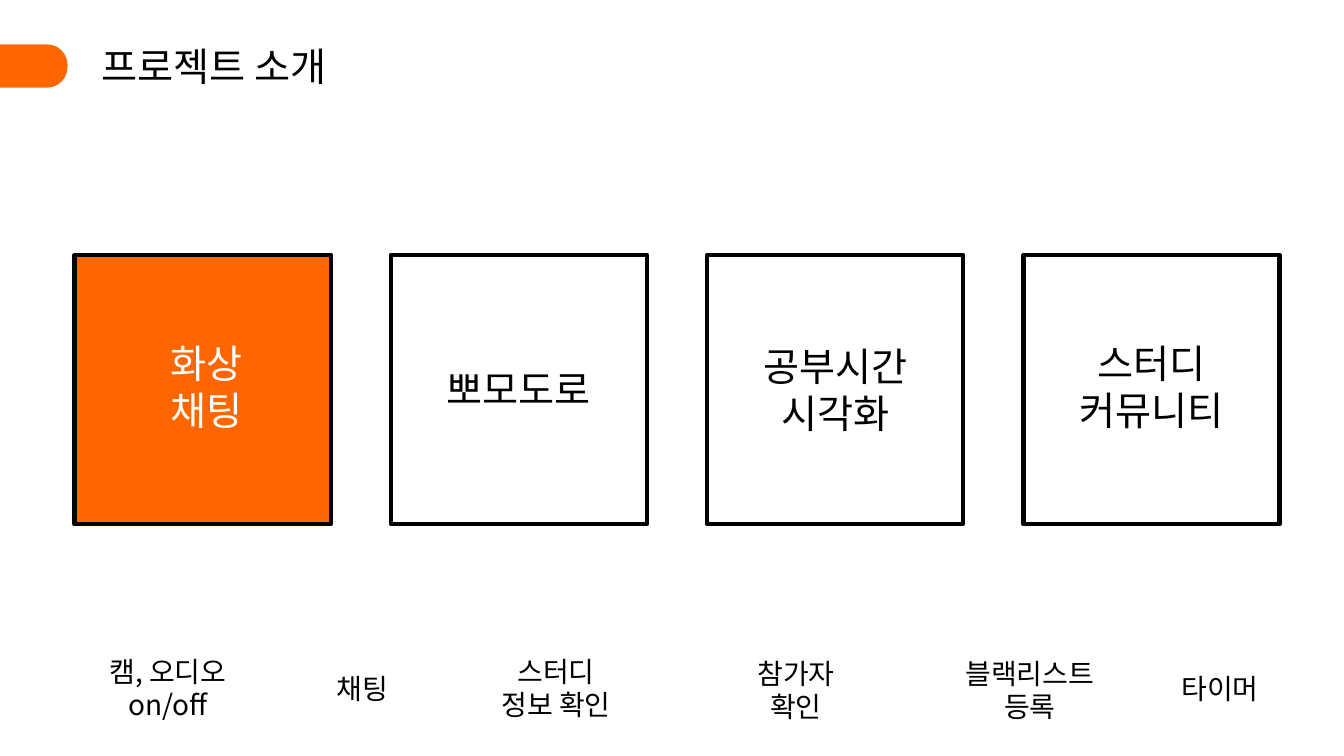
from lxml.etree import SubElement
from pptx import Presentation
from pptx.dml.color import RGBColor
from pptx.enum.shapes import MSO_SHAPE
from pptx.enum.text import MSO_ANCHOR, MSO_AUTO_SIZE, PP_ALIGN
from pptx.oxml.ns import qn
from pptx.util import Inches, Pt

ORANGE = RGBColor(0xFF, 0x66, 0x00)
BLACK = RGBColor(0, 0, 0)
WHITE = RGBColor(0xFF, 0xFF, 0xFF)
FONT = "Noto Sans CJK KR"

TILE_LEFT, TILE_STEP = 0.74, 3.137
TILES = [  # label box, text, label colour, tile fill
    ((1.52, 3.32, 1.05, 1.07), "화상채팅", WHITE, ORANGE),
    ((4.15, 3.58, 1.99, 0.57), "뽀모도로", BLACK, WHITE),
    ((7.29, 3.35, 1.99, 1.04), "공부시간\n시각화", BLACK, WHITE),
    ((10.43, 3.32, 1.99, 1.04), "스터디\n커뮤니티", BLACK, WHITE),
]
DETAILS = [
    ((0.67, 6.44, 1.99, 0.77), "캠, 오디오\non/off"),
    ((3.06, 6.61, 1.07, 0.44), "채팅"),
    ((4.52, 6.44, 1.99, 0.77), "스터디\n정보 확인"),
    ((6.9, 6.46, 1.99, 0.77), "참가자\n확인"),
    ((9.22, 6.46, 1.99, 0.77), "블랙리스트\n등록"),
    ((11.53, 6.61, 1.14, 0.44), "타이머"),
]


def write(shape, text, size, color):
    frame = shape.text_frame
    frame.text = text
    frame.word_wrap = True
    frame.vertical_anchor = MSO_ANCHOR.TOP
    for para in frame.paragraphs:
        para.alignment = PP_ALIGN.CENTER
        para.line_spacing = 1.0
        para.space_before = Pt(0)
        for run in para.runs:
            run.font.size = Pt(size)
            run.font.color.rgb = color
            run.font.name = FONT
            # Hangul takes the East Asian typeface
            props = run._r.get_or_add_rPr()
            SubElement(props, qn("a:ea")).set("typeface", FONT)


def add_title(slide, box, text):
    title = slide.shapes.title
    title.left, title.top, title.width, title.height = map(Inches, box)
    write(title, text, 28, BLACK)
    title.text_frame.auto_size = MSO_AUTO_SIZE.NONE


def add_label(slide, box, text, size, color):
    label = slide.shapes.add_textbox(*map(Inches, box))
    write(label, text, size, color)
    label.text_frame.auto_size = MSO_AUTO_SIZE.SHAPE_TO_FIT_TEXT


def add_block(slide, kind, box, fill):
    block = slide.shapes.add_shape(kind, *map(Inches, box))
    block.shadow.inherit = False
    block.fill.solid()
    block.fill.fore_color.rgb = fill
    block.line.fill.background()
    return block


def add_tile(slide, left, fill):
    tile = add_block(slide, MSO_SHAPE.RECTANGLE, (left, 2.53, 2.54, 2.67), fill)
    tile.line.color.rgb = BLACK
    tile.line.width = Pt(3)


def main():
    deck = Presentation()
    deck.slide_width, deck.slide_height = Inches(13.33), Inches(7.5)
    slide = deck.slides.add_slide(deck.slide_layouts[5])

    tab = add_block(slide, MSO_SHAPE.ROUNDED_RECTANGLE,
                    (-0.67, 0.44, 1.34, 0.43), ORANGE)
    tab.adjustments[0] = 0.473
    add_title(slide, (0.67, 0.37, 2.9, 0.57), "프로젝트 소개")

    for col, (box, text, color, fill) in enumerate(TILES):
        add_tile(slide, TILE_LEFT + col * TILE_STEP, fill)
        add_label(slide, box, text, 28, color)
    for box, text in DETAILS:
        add_label(slide, box, text, 20, BLACK)

    deck.save("out.pptx")


if __name__ == "__main__":
    main()
